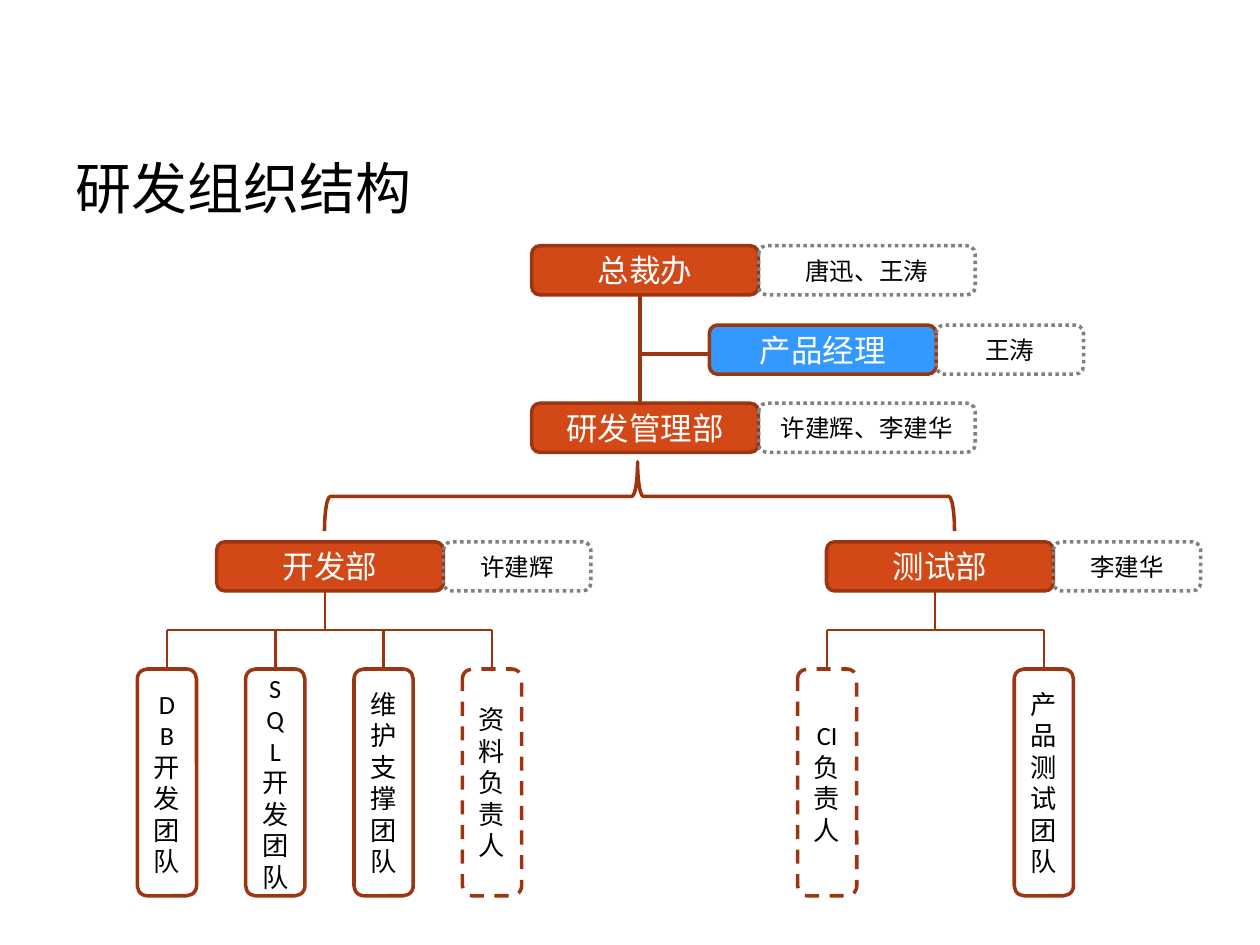
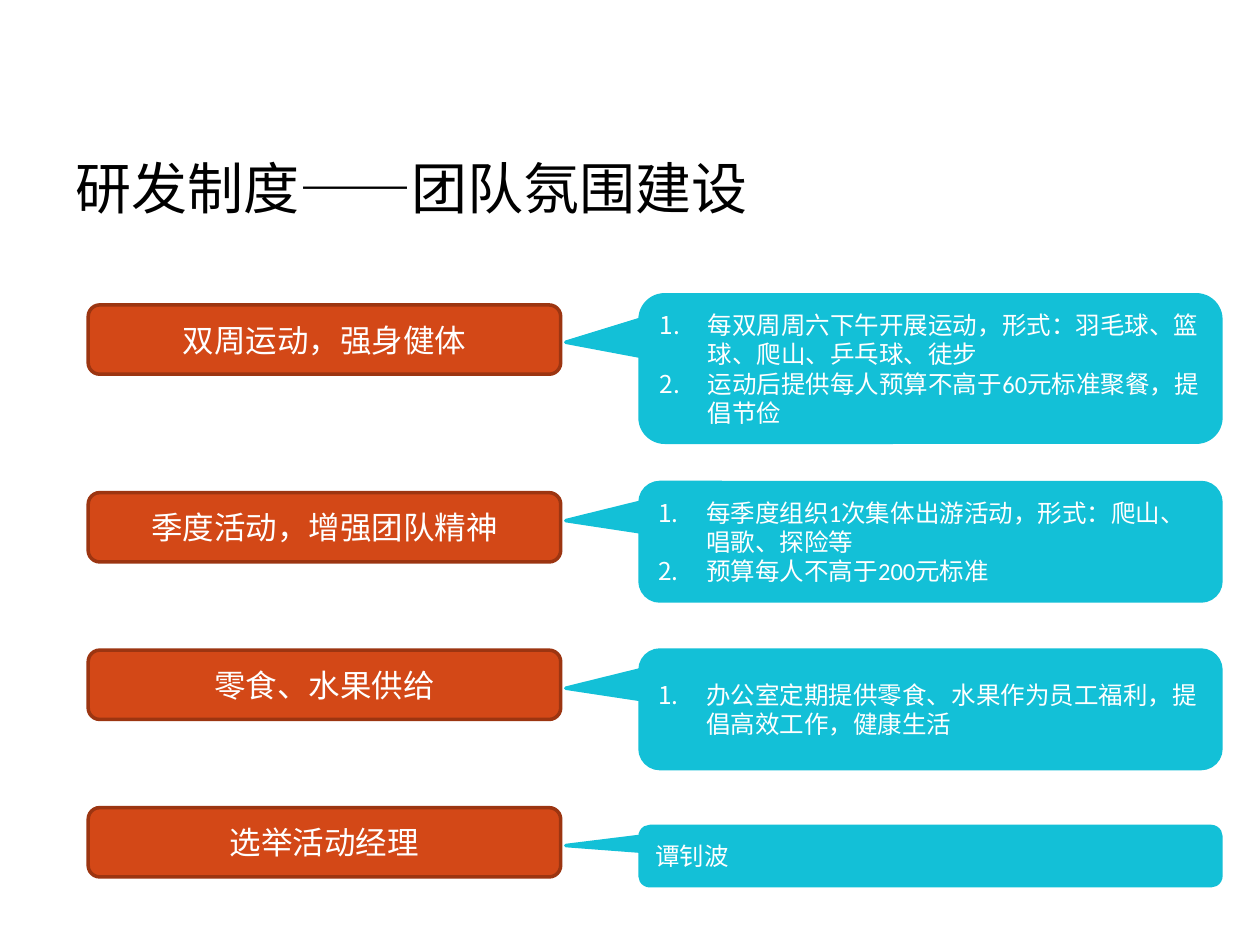
import pptx
import pptx.util
import pptx.dml.color
import pptx.enum.dml
import pptx.enum.lang
import pptx.enum.shapes
import pptx.enum.text
import lxml.etree

Inches = pptx.util.Inches
Pt = pptx.util.Pt
RGBColor = pptx.dml.color.RGBColor
MSO_SHAPE = pptx.enum.shapes.MSO_SHAPE
MSO_LINE = pptx.enum.dml.MSO_LINE
PP_ALIGN = pptx.enum.text.PP_ALIGN
CHINESE = pptx.enum.lang.MSO_LANGUAGE_ID.SIMPLIFIED_CHINESE

ORANGE = RGBColor(0xD3, 0x48, 0x17)
RUST = RGBColor(0x9C, 0x35, 0x11)
BRANCH = RGBColor(0x9E, 0x34, 0x0F)
BLUE = RGBColor(0x33, 0x99, 0xFF)
CYAN = RGBColor(0x13, 0xC0, 0xD7)
GRAY = RGBColor(0x80, 0x80, 0x80)
WHITE = RGBColor(0xFF, 0xFF, 0xFF)
BLACK = RGBColor(0x00, 0x00, 0x00)
DRAWING = "{http://schemas.openxmlformats.org/drawingml/2006/main}"


def add_box(slide, kind, place, lines, size, fill, outline, dash=None, align=PP_ALIGN.CENTER):
    box = slide.shapes.add_shape(kind, *[Inches(value) for value in place])
    box.shadow.inherit = False
    if fill is None:
        box.fill.background()
    else:
        box.fill.solid()
        box.fill.fore_color.rgb = fill
    box.line.color.rgb = outline
    box.line.width = Pt(2)
    if dash is not None:
        box.line.dash_style = dash
    frame = box.text_frame
    frame.word_wrap = True
    frame.vertical_anchor = pptx.enum.text.MSO_ANCHOR.MIDDLE
    for index, line in enumerate(lines):
        paragraph = frame.paragraphs[0] if index == 0 else frame.add_paragraph()
        paragraph.alignment = align
        run = paragraph.add_run()
        run.text = line
        run.font.name = "Calibri"
        run.font.size = Pt(size)
        run.font.language_id = CHINESE
        run.font.color.rgb = BLACK if fill is None else WHITE
    return box


def add_branch(slide, x1, y1, x2, y2, width):
    branch = slide.shapes.add_connector(
        pptx.enum.shapes.MSO_CONNECTOR.STRAIGHT, Inches(x1), Inches(y1), Inches(x2), Inches(y2))
    branch.line.color.rgb = BRANCH
    branch.line.width = Pt(width)
    lxml.etree.SubElement(branch._element.spPr, DRAWING + "effectLst")


deck = pptx.Presentation()
deck.slide_width = Inches(10)
deck.slide_height = Inches(7.5)

slides = []
for heading in ["研发组织结构", "研发制度——团队氛围建设"]:
    slide = deck.slides.add_slide(deck.slide_layouts[5])
    title = slide.shapes.title
    title.left, title.top = Inches(0.5), Inches(0.86)
    title.width, title.height = Inches(9), Inches(1.25)
    title.text_frame.auto_size = pptx.enum.text.MSO_AUTO_SIZE.NONE
    title.text_frame.vertical_anchor = pptx.enum.text.MSO_ANCHOR.MIDDLE
    paragraph = title.text_frame.paragraphs[0]
    paragraph.alignment = PP_ALIGN.LEFT
    run = paragraph.add_run()
    run.text = heading
    run.font.name = "Roboto"
    run.font.size = Pt(32)
    run.font.language_id = CHINESE
    run.font.color.rgb = BLACK
    slides.append(slide)
organization, team_spirit = slides

add_branch(organization, 5.08, 3.2, 5.08, 2.34, 2)
add_branch(organization, 5.08, 2.81, 5.63, 2.81, 2)

UNIT_WIDTH, UNIT_HEIGHT = 1.8, 0.39
units = [
    ("总裁办", 4.22, 1.95, ORANGE, "唐迅、王涛", 1.72),
    ("产品经理", 5.63, 2.58, BLUE, "王涛", 1.17),
    ("研发管理部", 4.22, 3.2, ORANGE, "许建辉、李建华", 1.72),
    ("开发部", 1.72, 4.3, ORANGE, "许建辉", 1.17),
    ("测试部", 6.56, 4.3, ORANGE, "李建华", 1.17),
]
for unit, left, top, fill, leaders, leaders_width in units:
    add_box(organization, MSO_SHAPE.ROUNDED_RECTANGLE, (left, top, UNIT_WIDTH, UNIT_HEIGHT),
            [unit], 18, fill, RUST)
    add_box(organization, MSO_SHAPE.ROUNDED_RECTANGLE,
            (left + UNIT_WIDTH, top, leaders_width, UNIT_HEIGHT),
            [leaders], 14, None, GRAY, MSO_LINE.ROUND_DOT)

brace = add_box(organization, MSO_SHAPE.LEFT_BRACE, (4.8, 1.44, 0.55, 5), [], 14, None, BRANCH)
brace.rotation = 90
brace.adjustments[0] = 0.083
brace.adjustments[1] = 0.503

TEAM_WIDTH, TEAM_TOP, RAIL = 0.47, 5.31, 5
departments = [
    (2.58, 1.09, 0.86, [("DB开发团队", None), ("SQL开发团队", None),
                        ("维护支撑团队", None), ("资料负责人", MSO_LINE.DASH)]),
    (7.42, 6.33, 1.72, [("CI负责人", MSO_LINE.DASH), ("产品测试团队", None)]),
]
for stem, first_left, pitch, teams in departments:
    first_center = first_left + TEAM_WIDTH / 2
    last_center = first_center + pitch * (len(teams) - 1)
    add_branch(organization, first_center, RAIL, last_center, RAIL, 1.5)
    add_branch(organization, stem, RAIL, stem, 4.69, 1.5)
    for index, (team, dash) in enumerate(teams):
        left = first_left + pitch * index
        center = left + TEAM_WIDTH / 2
        add_branch(organization, center, TEAM_TOP, center, RAIL, 1.5)
        add_box(organization, MSO_SHAPE.ROUNDED_RECTANGLE, (left, TEAM_TOP, TEAM_WIDTH, 1.8),
                [team], 15, None, RUST, dash)

activities = [
    ("双周运动，强身健体", 2.42, 2.34, 1.17, True,
     ["每双周周六下午开展运动，形式：羽毛球、篮球、爬山、乒乓球、徒步",
      "运动后提供每人预算不高于60元标准聚餐，提倡节俭"]),
    ("季度活动，增强团队精神", 3.91, 3.83, 0.94, True,
     ["每季度组织1次集体出游活动，形式：爬山、唱歌、探险等",
      "预算每人不高于200元标准"]),
    ("零食、水果供给", 5.16, 5.16, 0.94, True,
     ["办公室定期提供零食、水果作为员工福利，提倡高效工作，健康生活"]),
    ("选举活动经理", 6.41, 6.56, 0.47, False, ["谭钊波"]),
]
for activity, top, callout_top, callout_height, numbered, details in activities:
    add_box(team_spirit, MSO_SHAPE.ROUNDED_RECTANGLE, (0.7, top, 3.75, 0.55),
            [activity], 18, ORANGE, RUST)
    callout = add_box(team_spirit, MSO_SHAPE.ROUNDED_RECTANGULAR_CALLOUT,
                      (5.08, callout_top, 4.61, callout_height),
                      details, 14, CYAN, CYAN, align=PP_ALIGN.LEFT)
    for index, value in enumerate([-0.628, -0.178, 0.167]):
        callout.adjustments[index] = value
    for paragraph in callout.text_frame.paragraphs:
        properties = paragraph._p.get_or_add_pPr()
        properties.set("marL", str(Inches(0.38)))
        properties.set("indent", str(-Inches(0.38)))
        if numbered:
            lxml.etree.SubElement(properties, DRAWING + "buAutoNum", type="arabicPeriod")

deck.save("out.pptx")
